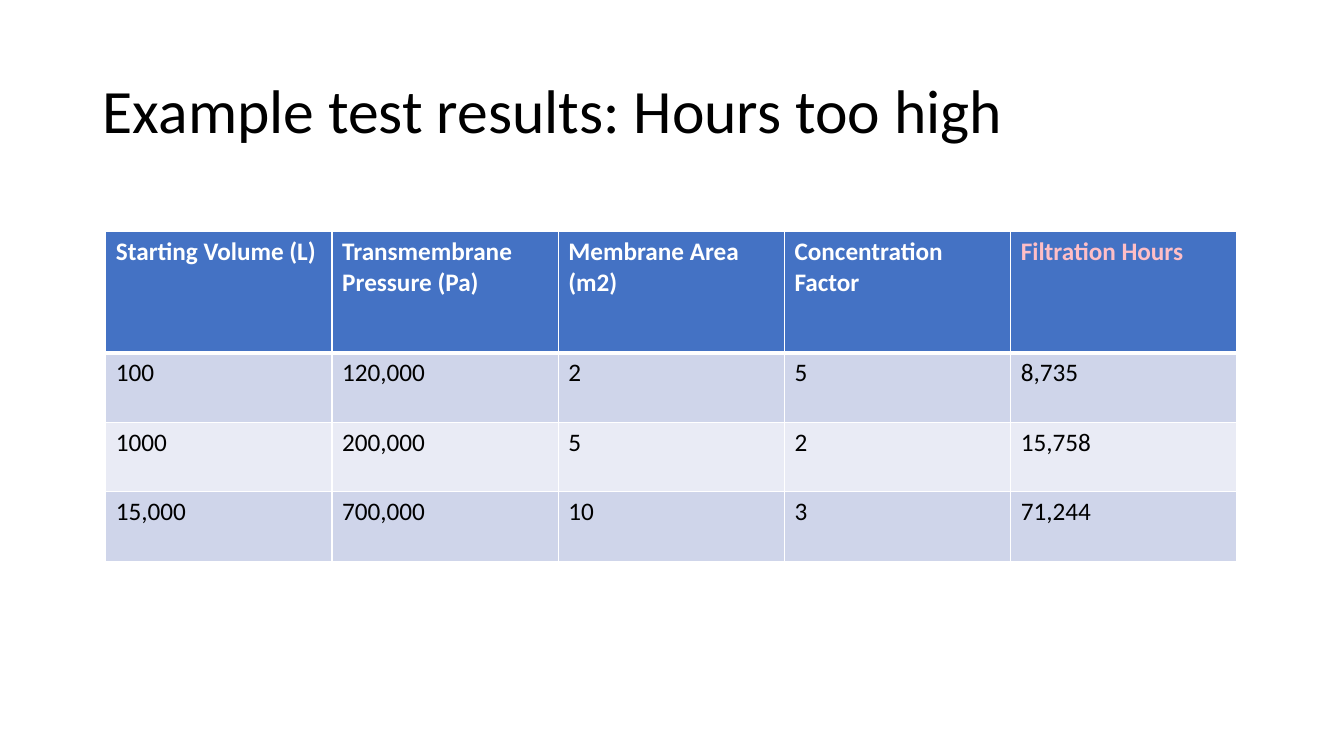
from pptx import Presentation
from pptx.dml.color import RGBColor
from pptx.enum.text import MSO_ANCHOR as Anchor, MSO_AUTO_SIZE as AutoSize, PP_ALIGN as Align
from pptx.oxml import parse_xml
from pptx.oxml.ns import nsdecls
from pptx.util import Inches, Pt

WHITE = RGBColor(0xFF, 0xFF, 0xFF)
BLACK = RGBColor(0x00, 0x00, 0x00)
BLUE = RGBColor(0x44, 0x72, 0xC4)
PINK = RGBColor(0xFF, 0xBE, 0xC6)
BAND_DARK = RGBColor(0xCF, 0xD5, 0xEA)
BAND_LIGHT = RGBColor(0xE9, 0xEB, 0xF5)

RESULTS = [
    ["Starting Volume (L)", "Transmembrane Pressure (Pa)", "Membrane Area (m2)",
     "Concentration Factor", "Filtration Hours"],
    ["100", "120,000", "2", "5", "8,735"],
    ["1000", "200,000", "5", "2", "15,758"],
    ["15,000", "700,000", "10", "3", "71,244"],
]


class ResultsPage:
    """Hold the font and the current slide, and add styled elements to it."""

    def __init__(self, deck, font="Calibri"):
        self.font = font
        self.page = deck.slides.add_slide(deck.slide_layouts[5])

    def add_text(self, frame, text, color, **formats):
        para = frame.paragraphs[0]
        span = para.add_run()
        span.text = text
        span.font.color.rgb = color
        for name, value in {"name": self.font, **formats}.items():
            setattr(span.font, name, value)
        return para

    def title(self, text, left, top, width, height):
        box = self.page.shapes.title
        place = {"left": left, "top": top, "width": width, "height": height}
        for name, value in place.items():
            setattr(box, name, Inches(value))
        frame = box.text_frame
        layout = {"auto_size": AutoSize.NONE, "word_wrap": True,
                  "vertical_anchor": Anchor.MIDDLE}
        for name, value in layout.items():
            setattr(frame, name, value)
        para = self.add_text(frame, text, BLACK, size=Pt(44))
        para.alignment = Align.LEFT
        para.line_spacing = 0.9

    def borders(self, cell, **widths):
        properties = cell._tc.get_or_add_tcPr()
        for side, width in widths.items():
            properties.append(parse_xml(
                f'<a:ln{side} {nsdecls("a")} w="{Pt(width)}"><a:solidFill>'
                f'<a:srgbClr val="{WHITE}"/></a:solidFill></a:ln{side}>'))

    def table(self, rows, left, top, width, heights):
        place = [Inches(value) for value in (left, top, width, sum(heights))]
        table = self.page.shapes.add_table(len(rows), len(rows[0]), *place).table
        for row, height in zip(table.rows, heights):
            row.height = Inches(height)
        for index, texts in enumerate(rows):
            header = index == 0
            fill = BLUE if header else BAND_DARK if index % 2 else BAND_LIGHT
            for column, text in enumerate(texts):
                cell = table.cell(index, column)
                self.borders(cell, L=1, R=1, T=3 if index == 1 else 1, B=3 if header else 1)
                cell.fill.solid()
                cell.fill.fore_color.rgb = fill
                last = column == len(texts) - 1
                color = BLACK if not header else PINK if last else WHITE
                self.add_text(cell.text_frame, text, color, size=Pt(18), bold=header)


def main():
    deck = Presentation()
    deck.slide_width, deck.slide_height = Inches(13.33), Inches(7.5)
    page = ResultsPage(deck)
    page.title("Example test results: Hours too high", 0.92, 0.4, 11.5, 1.45)
    page.table(RESULTS, 1.05, 2.3, 11.22, [1.2] + [0.69] * 3)
    deck.save("out.pptx")


if __name__ == "__main__":
    main()
